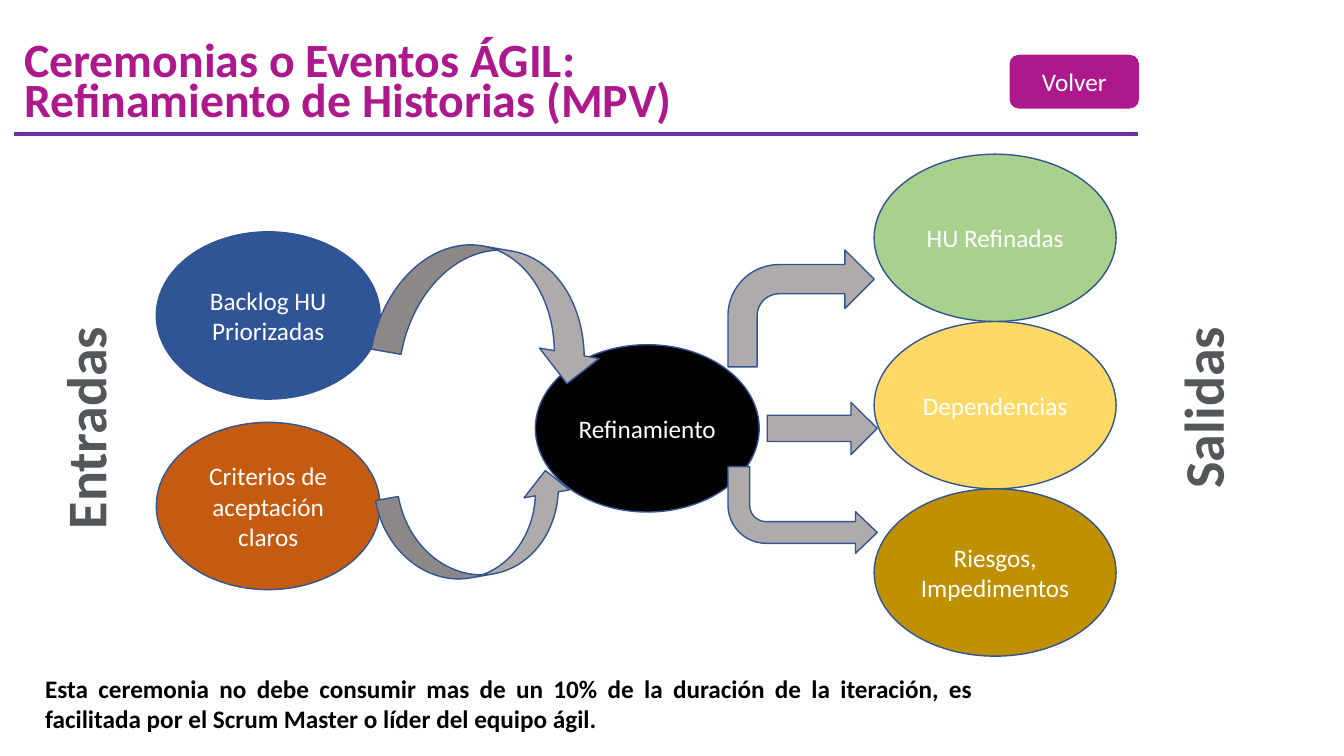
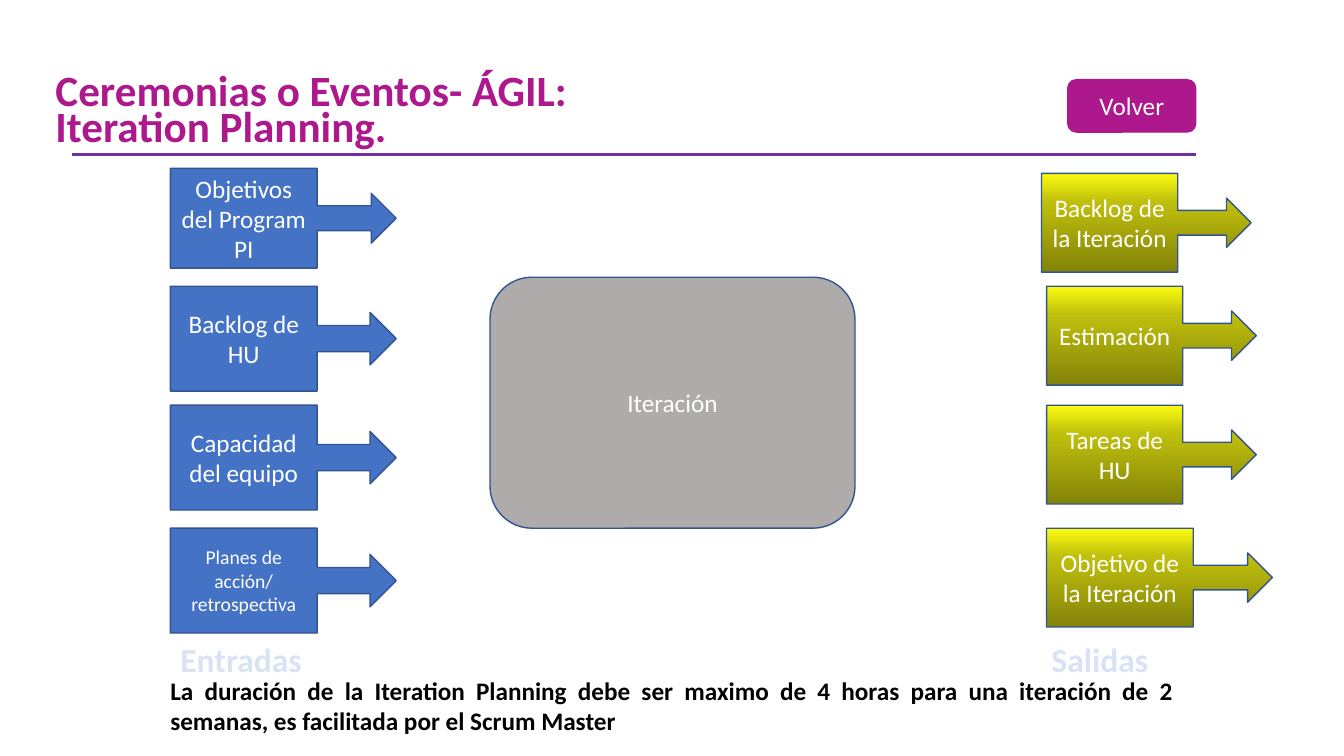
from dataclasses import dataclass

from lxml import etree
from pptx import Presentation
from pptx import util as u
from pptx.dml.color import RGBColor
from pptx.enum import shapes, text
from pptx.oxml.ns import qn

Kind = shapes.MSO_SHAPE
Align = text.PP_ALIGN


@dataclass(frozen=True)
class Theme:
    font: str = "Calibri"
    brand: str = "AD198D"
    rule: str = "7030A0"
    outline: str = "325491"
    ink: str = "000000"
    paper: str = "FFFFFF"
    arrow: str = "AFABAB"
    navy: str = "2F5597"
    orange: str = "C55A11"
    green: str = "A9D18E"
    yellow: str = "FFD966"
    ochre: str = "BF9000"
    blue: str = "4472C4"
    pale: str = "DAE3F3"
    olive: tuple = ((0, "FBFB11"), (29, "BFBF0D"), (100, "838309"))
    slate: tuple = ((21, "53575C"), (88, "C5C7CA"))
    body: float = 18
    small: float = 14
    caption: float = 24
    side: float = 40


THEME = Theme()


def inches(*lengths):
    return [u.Inches(length) for length in lengths]


def paint(fill, properties, color):
    """Fill with one colour, or top to bottom with (percent, colour) stops."""
    if isinstance(color, str):
        fill.solid()
        fill.fore_color.rgb = RGBColor.from_string(color)
        return
    fill.gradient()
    fill.gradient_angle = 270
    stops = properties.find(qn("a:gradFill")).find(qn("a:gsLst"))
    for stop in list(stops):
        stops.remove(stop)
    for percent, value in color:
        stop = etree.SubElement(stops, qn("a:gs"), pos=str(percent * 1000))
        etree.SubElement(stop, qn("a:srgbClr"), val=value)


def write(frame, words, size, color, align, bold=False, spacing=None):
    frame.text = words
    for paragraph in frame.paragraphs:
        paragraph.alignment = align
        if spacing:
            paragraph.line_spacing = spacing
        for run in paragraph.runs:
            run.font.name = THEME.font
            run.font.size = u.Pt(size)
            run.font.bold = bold
            paint(run.font.fill, run._r.get_or_add_rPr(), color)


def add_block(slide, kind, box, color, words="", size=THEME.body,
              outline=THEME.outline):
    block = slide.shapes.add_shape(kind, *inches(*box))
    block.shadow.inherit = False
    paint(block.fill, block._element.spPr, color)
    block.line.color.rgb = RGBColor.from_string(outline)
    block.line.width = u.Pt(1)
    if words:
        block.text_frame.vertical_anchor = text.MSO_ANCHOR.MIDDLE
        write(block.text_frame, words, size, THEME.paper, Align.CENTER)
    return block


def add_label(slide, box, words, size, color, align, wrap=True):
    label = slide.shapes.add_textbox(*inches(*box))
    label.text_frame.word_wrap = wrap
    label.text_frame.auto_size = text.MSO_AUTO_SIZE.SHAPE_TO_FIT_TEXT
    write(label.text_frame, words, size, color, align, bold=True)
    return label


def add_header(slide, words, size, title_box, rule_start, button_at):
    title = slide.shapes.title
    title.left, title.top, title.width, title.height = inches(*title_box)
    frame = title.text_frame
    frame.word_wrap = True
    frame.auto_size = text.MSO_AUTO_SIZE.NONE
    frame.vertical_anchor = text.MSO_ANCHOR.MIDDLE
    write(frame, words, size, THEME.brand, Align.LEFT, bold=True, spacing=0.7)

    left, top = rule_start
    rule = slide.shapes.add_connector(
        shapes.MSO_CONNECTOR.STRAIGHT, *inches(left, top, left + 11.15, top))
    rule.line.color.rgb = RGBColor.from_string(THEME.rule)
    rule.line.width = u.Pt(2.25)
    etree.SubElement(rule._element.spPr, qn("a:effectLst"))

    add_block(slide, Kind.ROUNDED_RECTANGLE, (*button_at, 1.27, 0.52),
              THEME.brand, "Volver", outline=THEME.brand)


def add_note(slide, box, words):
    add_label(slide, box, words, THEME.body, THEME.ink, Align.JUSTIFY)


def add_side_label(slide, box, words):
    label = add_label(slide, box, words, THEME.side, THEME.slate,
                      Align.CENTER, wrap=False)
    label.rotation = 270


def add_ellipses(slide, left, top, width, step, items):
    for row, (words, color) in enumerate(items):
        add_block(slide, Kind.OVAL, (left, top + row * step, width, 1.66),
                  color, words)


def add_refinement_flow(slide, left, top):
    """Inputs, process and outputs, joined by block arrows."""
    add_block(slide, Kind.OVAL, (left + 3.76, top + 1.89, 2.22, 1.66),
              THEME.ink, "Refinamiento")
    add_ellipses(slide, left, top + 0.77, 2.22, 1.89, [
        ("Backlog HU Priorizadas", THEME.navy),
        ("Criterios de aceptación claros", THEME.orange)])
    add_ellipses(slide, left + 7.12, top, 2.4, 1.66, [
        ("HU Refinadas", THEME.green),
        ("Dependencias", THEME.yellow),
        ("Riesgos, Impedimentos", THEME.ochre)])

    def arrow(kind, x, y, width, height):
        return add_block(slide, kind, (left + x, top + y, width, height),
                         THEME.arrow)

    arrow(Kind.CURVED_DOWN_ARROW, 2.22, 0.94, 2.27, 1.2).rotation = 10
    arrow(Kind.CURVED_UP_ARROW, 2.24, 3.26, 1.94, 0.92).rotation = 350
    arrow(Kind.BENT_ARROW, 5.67, 0.95, 1.45, 1.16)
    arrow(Kind.RIGHT_ARROW, 6.06, 2.46, 1.09, 0.52)
    down_bend = arrow(Kind.BENT_ARROW, 5.67, 3.1, 1.48, 0.86)
    for index, value in enumerate((0.25, 0.24, 0.25, 0.44)):
        down_bend.adjustments[index] = value
    down_bend._element.spPr.xfrm.set("flipV", "1")


def add_callouts(slide, color, caption, caption_at, items):
    """Column of arrow callouts, each (words, box, size), with its caption."""
    for words, box, size in items:
        add_block(slide, Kind.RIGHT_ARROW_CALLOUT, box, color, words, size)
    add_label(slide, (*caption_at, 1.5, 0.5), caption, THEME.caption,
              THEME.pale, Align.LEFT)


def build_refinement(slide):
    add_header(slide, "Ceremonias o Eventos ÁGIL:\nRefinamiento de Historias (MPV)",
               34.1, (0.14, 0.39, 11.15, 0.91), (0.14, 1.33), (10.02, 0.55))
    add_refinement_flow(slide, 1.55, 1.53)
    add_side_label(slide, (-0.27, 3.86, 2.21, 0.77), "Entradas")
    add_side_label(slide, (11.02, 3.66, 1.8, 0.77), "Salidas")
    add_note(slide, (0.35, 6.63, 9.4, 0.71),
             "Esta ceremonia no debe consumir mas de un 10% de la duración de la "
             "iteración, es facilitada por el Scrum Master o líder del equipo ágil.")


def build_planning(slide):
    add_header(slide, "Ceremonias o Eventos- ÁGIL:\nIteration Planning.",
               30.8, (0.45, 0.71, 11.66, 0.83), (0.71, 1.53), (10.59, 0.79))
    add_callouts(slide, THEME.blue, "Entradas", (1.69, 6.29), [
        ("Objetivos del Program PI", (1.69, 1.67, 2.24, 0.99), THEME.body),
        ("Backlog de HU", (1.69, 2.84, 2.24, 1.04), THEME.body),
        ("Capacidad del equipo", (1.69, 4.02, 2.24, 1.04), THEME.body),
        ("Planes de acción/ retrospectiva", (1.69, 5.24, 2.24, 1.04), THEME.small)])
    add_block(slide, Kind.FLOWCHART_ALTERNATE_PROCESS, (4.86, 2.75, 3.62, 2.49),
              THEME.arrow, "Iteración")
    add_callouts(slide, THEME.olive, "Salidas", (10.33, 6.29), [
        ("Backlog de la Iteración", (10.33, 1.72, 2.08, 0.98), THEME.body),
        ("Estimación", (10.38, 2.84, 2.08, 0.98), THEME.body),
        ("Tareas de HU", (10.38, 4.02, 2.08, 0.98), THEME.body),
        ("Objetivo de la Iteración", (10.38, 5.24, 2.24, 0.98), THEME.body)])
    add_note(slide, (1.59, 6.65, 10.15, 0.71),
             "La duración de la Iteration Planning debe ser maximo de 4 horas para "
             "una iteración de 2 semanas, es facilitada por el Scrum Master")


def main():
    deck = Presentation()
    deck.slide_width, deck.slide_height = inches(13.33, 7.5)
    title_only = deck.slide_layouts[5]
    for build in (build_refinement, build_planning):
        build(deck.slides.add_slide(title_only))
    deck.save("out.pptx")


if __name__ == "__main__":
    main()
